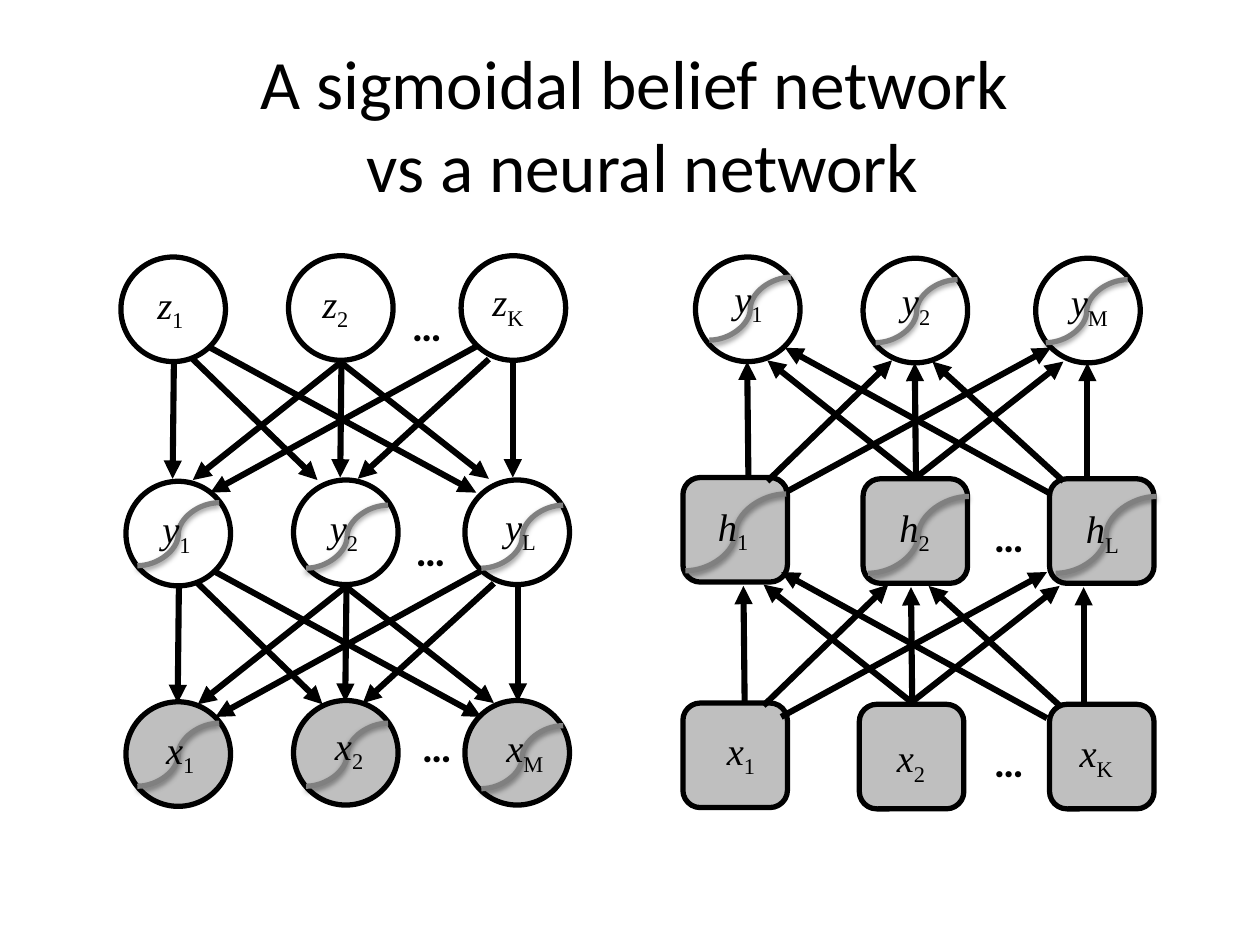
from typing import NamedTuple

import pptx
from lxml import etree
from pptx.dml import color
from pptx.enum import shapes, text
from pptx.oxml import ns
from pptx import util as u

PX = 9144
NODE_SIZE = 83
COLORS = {"ink": "000000", "node": "BFBFBF", "curve": "808080"}
CIRCLE = shapes.MSO_SHAPE.OVAL
SQUARE = shapes.MSO_SHAPE.ROUNDED_RECTANGLE
SMALL, LARGE = (65, 50), (80, 61)


class Point(NamedTuple):
    x: int
    y: int


class Label(NamedTuple):
    letter: str
    index: str
    at: Point
    width: int


class Curve(NamedTuple):
    at: Point
    size: tuple[int, int]


class Node(NamedTuple):
    outline: shapes.MSO_SHAPE
    at: Point
    filled: bool
    label: Label
    curve: Curve | None = None


class Arrow(NamedTuple):
    tip: Point
    tail: Point


class Fan(NamedTuple):
    origin: Point
    direction: int


NODES = [
    Node(CIRCLE, Point(96, 204), False, Label("z", "1", Point(115, 218), 46)),
    Node(CIRCLE, Point(229, 203), False, Label("z", "2", Point(246, 217), 46)),
    Node(CIRCLE, Point(366, 203), False, Label("z", "K", Point(381, 216), 51)),
    Node(CIRCLE, Point(100, 382), False, Label("y", "1", Point(119, 396), 48), Curve(Point(109, 399), SMALL)),
    Node(CIRCLE, Point(233, 381), False, Label("y", "2", Point(252, 395), 48), Curve(Point(243, 401), SMALL)),
    Node(CIRCLE, Point(369, 381), False, Label("y", "L", Point(391, 394), 51), Curve(Point(382, 401), SMALL)),
    Node(CIRCLE, Point(100, 557), True, Label("x", "1", Point(122, 571), 48), Curve(Point(109, 574), SMALL)),
    Node(CIRCLE, Point(233, 556), True, Label("x", "2", Point(256, 568), 48), Curve(Point(243, 574), SMALL)),
    Node(CIRCLE, Point(369, 556), True, Label("x", "M", Point(392, 570), 56), Curve(Point(382, 576), SMALL)),
    Node(CIRCLE, Point(552, 204), False, Label("y", "1", Point(573, 213), 48), Curve(Point(563, 220), SMALL)),
    Node(CIRCLE, Point(685, 205), False, Label("y", "2", Point(706, 215), 48), Curve(Point(695, 222), SMALL)),
    Node(CIRCLE, Point(822, 205), False, Label("y", "M", Point(840, 216), 56), Curve(Point(830, 222), SMALL)),
    Node(SQUARE, Point(542, 379), True, Label("h", "1", Point(560, 394), 50), Curve(Point(544, 392), LARGE)),
    Node(SQUARE, Point(685, 380), True, Label("h", "2", Point(704, 395), 50), Curve(Point(689, 394), LARGE)),
    Node(SQUARE, Point(833, 380), True, Label("h", "L", Point(852, 396), 52), Curve(Point(838, 394), LARGE)),
    Node(SQUARE, Point(542, 558), True, Label("x", "1", Point(567, 572), 48)),
    Node(SQUARE, Point(682, 559), True, Label("x", "2", Point(702, 578), 48)),
    Node(SQUARE, Point(833, 559), True, Label("x", "K", Point(847, 574), 53)),
]

FAN_ARROWS = [
    Arrow(Point(0, 0), Point(1, -92)),
    Arrow(Point(133, -1), Point(134, -93)),
    Arrow(Point(270, -1), Point(270, -93)),
    Arrow(Point(16, 1), Point(133, -92)),
    Arrow(Point(251, 0), Point(134, -92)),
    Arrow(Point(147, 0), Point(251, -95)),
    Arrow(Point(115, 1), Point(16, -95)),
    Arrow(Point(241, 11), Point(30, -104)),
    Arrow(Point(30, 11), Point(241, -105)),
]
FANS = [
    Fan(Point(137, 380), 1),
    Fan(Point(141, 558), 1),
    Fan(Point(593, 287), -1),
    Fan(Point(590, 465), -1),
]
DOTS = [Point(317, 233), Point(320, 411), Point(325, 567), Point(779, 400), Point(779, 579)]


def rgb(name: str) -> color.RGBColor:
    return color.RGBColor.from_string(COLORS[name])


def add_span(para, words: str, font: str, size: float):
    span = para.add_run()
    span.text = words
    span.font.name = font
    span.font.size = u.Pt(size)
    span.font.color.rgb = rgb("ink")
    return span


def add_title(page) -> None:
    box = page.shapes.title
    box.left, box.top, box.width, box.height = (n * PX for n in (60, 27, 900, 125))
    frame = box.text_frame
    frame.auto_size = text.MSO_AUTO_SIZE.NONE
    frame.word_wrap = True
    frame.vertical_anchor = text.MSO_ANCHOR.TOP
    para = frame.paragraphs[0]
    para.alignment = text.PP_ALIGN.CENTER
    add_span(para, "A sigmoidal belief network ", "Calibri", 39.6)
    para.add_line_break()
    add_span(para, "vs a neural network", "Calibri", 39.6)


def add_box(page, at: Point, width: int, height: int, wrap: bool):
    box = page.shapes.add_textbox(at.x * PX, at.y * PX, width * PX, height * PX)
    box.text_frame.word_wrap = wrap
    box.text_frame.auto_size = text.MSO_AUTO_SIZE.SHAPE_TO_FIT_TEXT
    return box.text_frame.paragraphs[0]


def add_dots(page, at: Point) -> None:
    add_span(add_box(page, at, 75, 50, True), "…", "Calibri", 24).font.bold = True


def add_label(page, label: Label) -> None:
    para = add_box(page, label.at, label.width, 47, False)
    add_span(para, label.letter, "Times New Roman", 22).font.italic = True
    index = add_span(para, label.index, "Times New Roman", 22)
    index.font._element.set("baseline", "-25000")


def add_node(page, node: Node) -> None:
    shape = page.shapes.add_shape(
        node.outline, node.at.x * PX, node.at.y * PX, NODE_SIZE * PX, NODE_SIZE * PX)
    shape.shadow.inherit = False
    shape.line.color.rgb = rgb("ink")
    shape.line.width = u.Pt(3)
    if node.filled:
        shape.fill.solid()
        shape.fill.fore_color.rgb = rgb("node")
    else:
        shape.fill.background()


def add_line(page, kind: shapes.MSO_CONNECTOR, start: Point, end: Point, ink: str, width: float):
    line = page.shapes.add_connector(kind, start.x * PX, start.y * PX, end.x * PX, end.y * PX)
    line.line.color.rgb = rgb(ink)
    line.line.width = u.Pt(width)
    effects = etree.SubElement(line._element.spPr, ns.qn("a:effectLst"))
    return line, effects


def add_fan(page, fan: Fan) -> None:
    for arrow in FAN_ARROWS:
        tip, tail = (Point(fan.origin.x + p.x, fan.origin.y + fan.direction * p.y) for p in arrow)
        line, _ = add_line(page, shapes.MSO_CONNECTOR.STRAIGHT, tip, tail, "ink", 3.5)
        etree.SubElement(line.line._get_or_add_ln(), ns.qn("a:headEnd"), type="triangle")


def add_curve(page, curve: Curve) -> None:
    width, height = curve.size
    start = Point(curve.at.x + width, curve.at.y)
    end = Point(curve.at.x, curve.at.y + height)
    _, effects = add_line(page, shapes.MSO_CONNECTOR.CURVE, start, end, "curve", 3)
    shadow = etree.SubElement(effects, ns.qn("a:outerShdw"), blurRad="40000",
                              dist="20000", dir="5400000", rotWithShape="0")
    shade = etree.SubElement(shadow, ns.qn("a:srgbClr"), val=COLORS["ink"])
    etree.SubElement(shade, ns.qn("a:alpha"), val="38000")


def main() -> None:
    deck = pptx.Presentation()
    deck.slide_width, deck.slide_height = 1000 * PX, 750 * PX
    page = deck.slides.add_slide(deck.slide_layouts[5])
    add_title(page)
    for node in NODES:
        add_node(page, node)
    for fan in FANS:
        add_fan(page, fan)
    for at in DOTS:
        add_dots(page, at)
    for node in NODES:
        if node.curve:
            add_curve(page, node.curve)
        add_label(page, node.label)
    deck.save("out.pptx")


if __name__ == "__main__":
    main()
